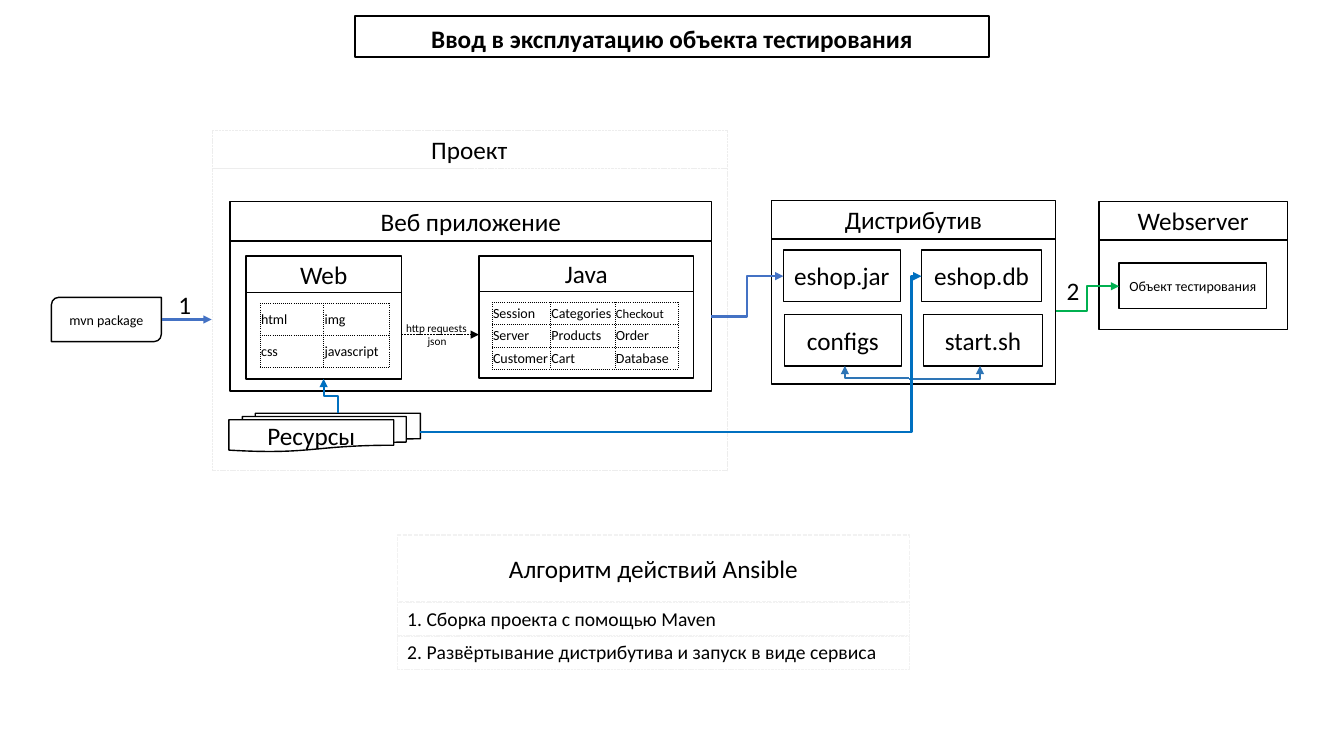
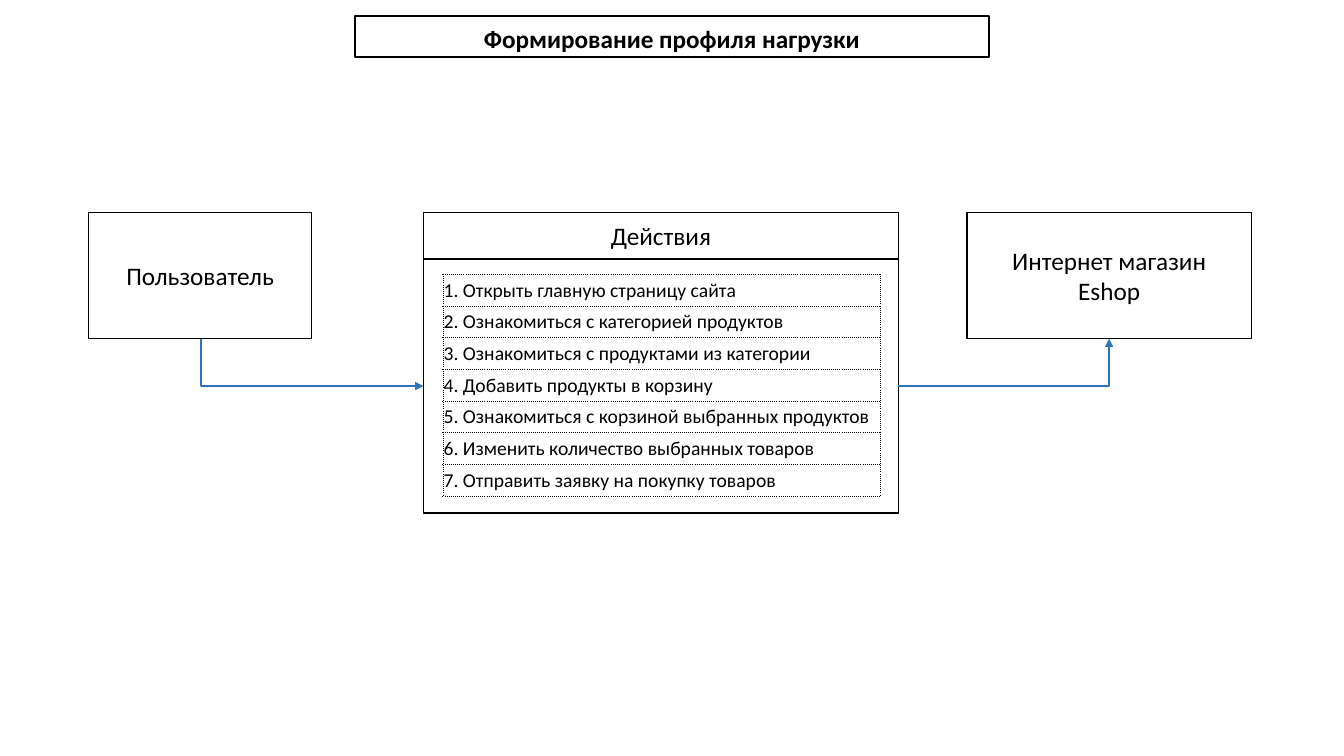
import collections

import lxml.etree
import pptx
import pptx.dml.color
import pptx.enum.dml
import pptx.enum.shapes
import pptx.enum.text
import pptx.oxml.ns
import pptx.util

Inches = pptx.util.Inches
Pt = pptx.util.Pt
RGBColor = pptx.dml.color.RGBColor
qn = pptx.oxml.ns.qn
SHAPE = pptx.enum.shapes.MSO_SHAPE
CONNECTOR = pptx.enum.shapes.MSO_CONNECTOR
DASH = pptx.enum.dml.MSO_LINE.SQUARE_DOT
ALIGN = pptx.enum.text.PP_ALIGN
ANCHOR = pptx.enum.text.MSO_ANCHOR

FONT = "Calibri"
BLACK = RGBColor(0x00, 0x00, 0x00)
PALE = RGBColor(0xED, 0xED, 0xED)
LIGHT = RGBColor(0xF2, 0xF2, 0xF2)
BLUE = RGBColor(0x44, 0x72, 0xC4)
BRIGHT_BLUE = RGBColor(0x00, 0x70, 0xC0)
STEEL = RGBColor(0x2E, 0x75, 0xB6)
GREEN = RGBColor(0x00, 0xB0, 0x50)


class Box(collections.namedtuple("Box", "left top width height")):
    """Rectangle in inches."""

    def inner(self, left, top, width, height):
        """Return a rectangle offset from this one's top left corner."""
        return Box(self.left + left, self.top + top, width, height)

    def lengths(self):
        """Return the four values as slide lengths."""
        return [Inches(value) for value in self]


def write_text(frame, text, size=18, bold=False, align=ALIGN.CENTER,
               anchor=ANCHOR.MIDDLE, wrap=True, line_spacing=None, after=None):
    """Fill a text frame, one paragraph for each line of text."""
    frame.word_wrap = wrap
    frame.vertical_anchor = anchor
    for number, line in enumerate(text.split("\n")):
        para = frame.add_paragraph() if number else frame.paragraphs[0]
        para.alignment = align
        para.line_spacing = line_spacing
        para.space_after = after
        span = para.add_run()
        span.text = line
        span.font.name = FONT
        span.font.size = Pt(size)
        span.font.bold = bold
        span.font.color.rgb = BLACK


def add_panel(page, box, text="", kind=SHAPE.RECTANGLE, color=BLACK, weight=1,
              dash=None, **style):
    """Draw an unfilled outlined shape with optional text."""
    shape = page.shapes.add_shape(kind, *box.lengths())
    shape.shadow.inherit = False
    shape.fill.background()
    shape.line.color.rgb = color
    shape.line.width = Pt(weight)
    if dash:
        shape.line.dash_style = dash
    if text:
        write_text(shape.text_frame, text, **style)


def add_titled_panel(page, box, title, header, **style):
    """Draw a header band and the body below it."""
    add_panel(page, box.inner(0, 0, box.width, header), title, **style)
    add_panel(page, box.inner(0, header, box.width, box.height - header), **style)


def add_label(page, box, text, **style):
    """Place text without an outline."""
    label = page.shapes.add_textbox(*box.lengths())
    write_text(label.text_frame, text, anchor=ANCHOR.TOP, wrap=False, **style)


def add_arrow(page, start, end, color, weight=1.5, bends=0, adjust=None,
              vertical=False, dash=None):
    """Draw an arrow with up to two bends, leaving vertically if asked."""
    points = [start, end]
    if vertical:
        middle_x, middle_y = (start[0] + end[0]) / 2, (start[1] + end[1]) / 2
        points = [(middle_x - (y - middle_y), middle_y + (x - middle_x))
                  for x, y in points]
    kind = CONNECTOR.ELBOW if bends else CONNECTOR.STRAIGHT
    arrow = page.shapes.add_connector(
        kind, *[Inches(value) for point in points for value in point])
    arrow.line.color.rgb = color
    arrow.line.width = Pt(weight)
    if dash:
        arrow.line.dash_style = dash
    properties = arrow._element.spPr
    if vertical:
        properties.find(qn("a:xfrm")).set("rot", "16200000")
    geometry = properties.find(qn("a:prstGeom"))
    if bends == 1:
        geometry.set("prst", "bentConnector2")
    if adjust:
        lxml.etree.SubElement(geometry.find(qn("a:avLst")), qn("a:gd"),
                              name="adj1", fmla=f"val {round(adjust * 100000)}")
    lxml.etree.SubElement(properties.find(qn("a:ln")), qn("a:tailEnd"),
                          type="triangle")
    lxml.etree.SubElement(properties, qn("a:effectLst"))


def add_dotted_border(cell):
    """Give a cell thin dotted black edges."""
    properties = cell._tc.get_or_add_tcPr()
    for edge in ("a:lnL", "a:lnR", "a:lnT", "a:lnB"):
        line = lxml.etree.SubElement(properties, qn(edge), w=str(Pt(0.25)))
        fill = lxml.etree.SubElement(line, qn("a:solidFill"))
        lxml.etree.SubElement(fill, qn("a:srgbClr"), val=str(BLACK))
        lxml.etree.SubElement(line, qn("a:prstDash"), val="dot")


def add_grid(page, box, widths, rows, size=10, special_sizes=None):
    """Draw a dotted table with equal row heights."""
    table = page.shapes.add_table(len(rows), len(widths), *box.lengths()).table
    table.first_row = table.horz_banding = False
    for column, width in zip(table.columns, widths):
        column.width = Inches(width)
    for row, texts in zip(table.rows, rows):
        row.height = Inches(box.height / len(rows))
        for cell, text in zip(row.cells, texts):
            cell.margin_left = cell.margin_right = cell.margin_top = Inches(0.01)
            cell.margin_bottom = 0
            add_dotted_border(cell)
            cell.fill.background()
            write_text(cell.text_frame, text, align=ALIGN.LEFT,
                       size=(special_sizes or {}).get(text, size))
            cell.vertical_anchor = ANCHOR.MIDDLE


def add_page(deck, title):
    """Add a blank page with the framed title."""
    page = deck.slides.add_slide(deck.slide_layouts[6])
    add_panel(page, Box(3.52, 0.16, 6.29, 0.41), title, weight=1.5, bold=True,
              anchor=ANCHOR.TOP, line_spacing=1.07, after=Pt(8))
    return page


def draw_web_application(page, box):
    """Draw the web and Java parts and the request between them."""
    add_titled_panel(page, box, "Веб приложение", 0.39)
    add_titled_panel(page, box.inner(0.16, 0.54, 1.54, 1.22), "Web", 0.36)
    add_titled_panel(page, box.inner(2.47, 0.54, 2.13, 1.21), "Java", 0.35)
    add_grid(page, box.inner(0.3, 1.01, 1.28, 0.63), [0.63, 0.65],
             [["html", "img"], ["css", "javascript"]])
    add_grid(page, box.inner(2.6, 1, 1.85, 0.66), [0.58, 0.64, 0.63],
             [["Session", "Categories", "Checkout"],
              ["Server", "Products", "Order"],
              ["Customer", "Cart", "Database"]], special_sizes={"Checkout": 9})
    add_arrow(page, (box.left + 1.7, box.top + 1.32),
              (box.left + 2.47, box.top + 1.32), BLACK, weight=0.5, dash=DASH)
    add_label(page, box.inner(1.65, 1.14, 0.83, 0.24), "http requests", size=8,
              align=ALIGN.LEFT)
    add_label(page, box.inner(1.8, 1.27, 0.51, 0.24), "json", size=8)


def draw_project(page, box):
    """Draw the project frame with its application and resources."""
    add_titled_panel(page, box, "Проект", 0.38, color=PALE, weight=0.25, dash=DASH)
    draw_web_application(page, box.inner(0.18, 0.71, 4.78, 1.88))
    add_panel(page, box.inner(0.17, 2.81, 1.9, 0.38), "Ресурсы",
              SHAPE.FLOWCHART_MULTIDOCUMENT)
    add_arrow(page, (box.left + 1.25, box.top + 2.81),
              (box.left + 1.11, box.top + 2.47), BRIGHT_BLUE, bends=2, vertical=True)


def draw_distribution(page, box):
    """Draw the distribution files and the links to the configs and script."""
    add_titled_panel(page, box, "Дистрибутив", 0.38)
    for left, top, width, name in ((0.12, 0.49, 1.16, "eshop.jar"),
                                   (1.49, 0.49, 1.19, "eshop.db"),
                                   (0.13, 1.13, 1.16, "configs"),
                                   (1.51, 1.13, 1.18, "start.sh")):
        add_panel(page, box.inner(left, top, width, 0.51), name)
    for target, level in ((2.07, 1.77), (0.73, 1.76)):
        add_arrow(page, (box.left + 1.37, box.top + level),
                  (box.left + target, box.top + 1.64), STEEL, bends=1)


def draw_webserver(page, box):
    """Draw the server holding the tested object."""
    add_titled_panel(page, box, "Webserver", 0.38)
    add_panel(page, box.inner(0.2, 0.61, 1.46, 0.45), "Объект тестирования", size=10)


def draw_algorithm(page, box):
    """Draw the heading and the numbered steps under it."""
    add_panel(page, box.inner(0, 0, box.width, 0.66), "Алгоритм действий Ansible",
              color=LIGHT, dash=DASH)
    steps = ("1. Сборка проекта с помощью Maven",
             "2. Развёртывание дистрибутива и запуск в виде сервиса")
    for number, step in enumerate(steps):
        add_panel(page, box.inner(0, 0.66 + 0.33 * number, box.width, 0.34), step,
                  color=LIGHT, weight=0.25, dash=DASH, size=14, align=ALIGN.LEFT,
                  anchor=ANCHOR.TOP)


def draw_deployment(deck):
    """Build the deployment page."""
    page = add_page(deck, "Ввод в эксплуатацию объекта тестирования")
    draw_project(page, Box(2.1, 1.29, 5.11, 3.38))
    draw_distribution(page, Box(7.65, 1.99, 2.82, 1.82))
    draw_webserver(page, Box(10.9, 2, 1.87, 1.27))
    draw_algorithm(page, Box(3.94, 5.31, 5.08, 1.33))
    add_panel(page, Box(0.51, 2.95, 1.09, 0.44), "mvn package",
              SHAPE.ROUND_2_DIAG_RECTANGLE, size=10)
    for left, top, number in ((1.67, 2.82, "1"), (10.48, 2.68, "2")):
        add_label(page, Box(left, top, 0.23, 0.42), number, align=ALIGN.LEFT)
    add_arrow(page, (1.61, 3.17), (2.1, 3.17), BLUE)
    add_arrow(page, (7.05, 3.14), (7.77, 2.74), BLUE, bends=2)
    add_arrow(page, (4.17, 4.29), (9.14, 2.74), BRIGHT_BLUE, bends=2, adjust=0.98)
    add_arrow(page, (10.47, 3.09), (11.1, 2.84), GREEN, bends=2)


def draw_actions(page, box):
    """Draw the list of user actions."""
    add_titled_panel(page, box, "Действия", 0.46)
    actions = ("Открыть главную страницу сайта",
               "Ознакомиться с категорией продуктов",
               "Ознакомиться с продуктами из категории",
               "Добавить продукты в корзину",
               "Ознакомиться с корзиной выбранных продуктов",
               "Изменить количество выбранных товаров",
               "Отправить заявку на покупку товаров")
    add_grid(page, box.inner(0.19, 0.61, 4.34, 2.2), [4.34],
             [[f"{number}. {action}"] for number, action in enumerate(actions, 1)],
             size=14)


def draw_load_profile(deck):
    """Build the load profile page."""
    page = add_page(deck, "Формирование профиля нагрузки")
    add_panel(page, Box(0.88, 2.11, 2.21, 1.25), "Пользователь")
    draw_actions(page, Box(4.2, 2.11, 4.71, 2.98))
    add_panel(page, Box(9.59, 2.11, 2.82, 1.25), "Интернет магазин\nEshop")
    add_arrow(page, (1.99, 3.36), (4.2, 3.83), STEEL, bends=1, vertical=True)
    add_arrow(page, (8.91, 3.83), (11, 3.36), STEEL, bends=1)


def main():
    """Build and save the deck."""
    deck = pptx.Presentation()
    deck.slide_width, deck.slide_height = Inches(13.33), Inches(7.5)
    draw_deployment(deck)
    draw_load_profile(deck)
    deck.save("out.pptx")


if __name__ == "__main__":
    main()
